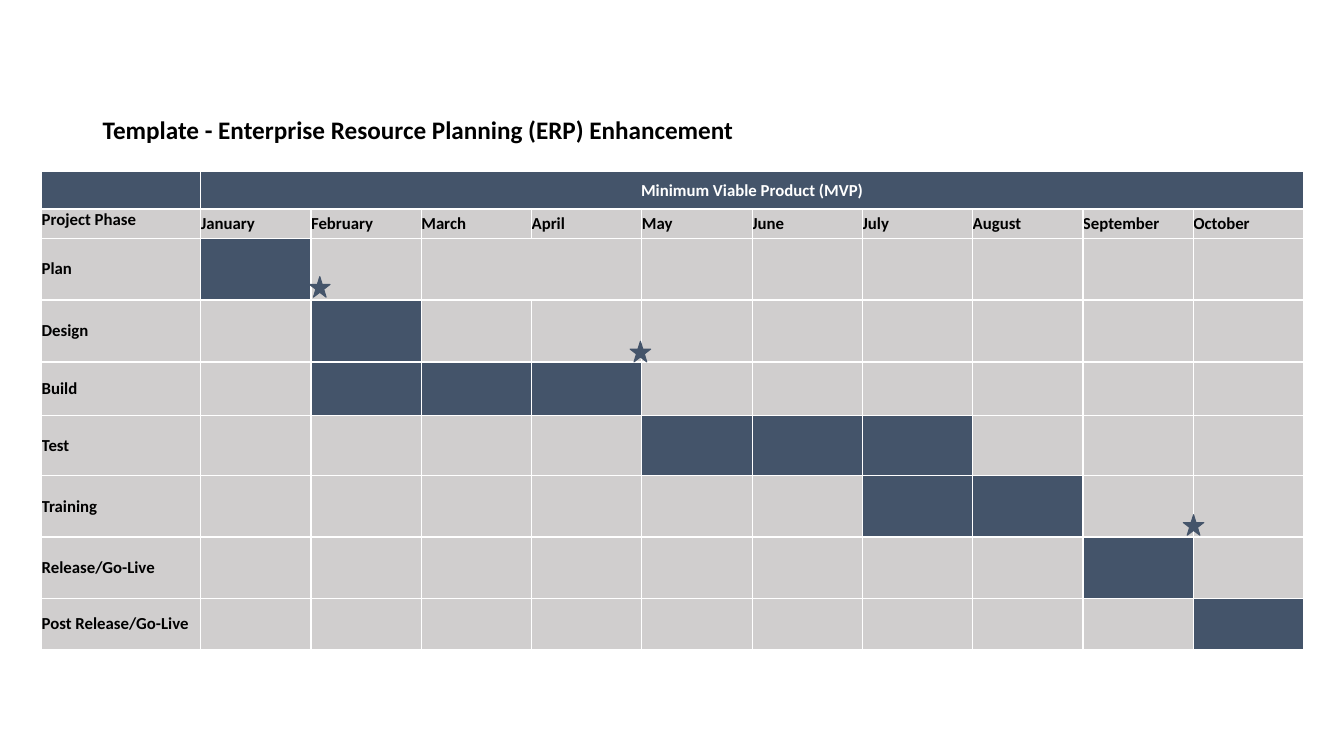
import pptx
import pptx.util
import pptx.dml.color
import pptx.enum.shapes
import pptx.enum.text
import pptx.oxml
import pptx.oxml.ns

Cm, Pt = pptx.util.Cm, pptx.util.Pt
ANCHOR = pptx.enum.text.MSO_ANCHOR
ALIGN = pptx.enum.text.PP_ALIGN

COLORS = {"slate": "44546A", "gray": "D0CECE", "white": "FFFFFF", "black": "000000"}
MONTHS = ["January", "February", "March", "April", "May", "June",
          "July", "August", "September", "October"]
# Phase name, row height in cm, first and last active month
PHASES = [
    ("Plan", 1.56, 1, 1),
    ("Design", 1.56, 2, 2),
    ("Build", 1.36, 2, 4),
    ("Test", 1.51, 5, 7),
    ("Training", 1.54, 7, 8),
    ("Release/Go-Live", 1.55, 9, 9),
    ("Post Release/Go-Live", 1.28, 10, 10),
]
HEADER_HEIGHTS = [0.95, 0.73]
MILESTONES = [(7.8, 6.97), (15.88, 8.6), (29.82, 12.97)]


class GanttSlide:
    def __init__(self, prs, font="Calibri"):
        self.s = prs.slides.add_slide(prs.slide_layouts[6])
        self.font = font

    def rgb(self, name):
        return pptx.dml.color.RGBColor.from_string(COLORS[name])

    def label(self, tf, text, size, color="black", align=ALIGN.LEFT):
        p = tf.paragraphs[0]
        p.alignment = align
        r = p.add_run()
        r.text = text
        for key, value in {"name": self.font, "size": Pt(size), "bold": True}.items():
            setattr(r.font, key, value)
        r.font.color.rgb = self.rgb(color)
        return p

    def title(self, text, left, top, width, height):
        sp = self.s.shapes.add_textbox(Cm(left), Cm(top), Cm(width), Cm(height))
        tf = sp.text_frame
        tf.word_wrap = True
        tf.vertical_anchor = ANCHOR.MIDDLE
        self.label(tf, text, 18).line_spacing = 0.9

    def table(self, left, top, widths, heights):
        frame = self.s.shapes.add_table(len(heights), len(widths), Cm(left), Cm(top),
                                        Cm(sum(widths)), Cm(sum(heights)))
        table = frame.table
        table.first_row = table.horz_banding = False
        for column, width in zip(table.columns, widths):
            column.width = Cm(width)
        for row, height in zip(table.rows, heights):
            row.height = Cm(height)
        return table

    def cell(self, cell, fill, borders, text="", color="black",
             align=ALIGN.LEFT, anchor=ANCHOR.MIDDLE):
        for side in ("left", "right", "top", "bottom"):
            setattr(cell, "margin_" + side, 0)
        cell.vertical_anchor = anchor
        # Borders come before the fill in the cell properties
        tcPr = cell._tc.get_or_add_tcPr()
        for side in "LRTB":
            width = borders.get(side, 1)
            paint = (f'<a:solidFill><a:srgbClr val="{COLORS["white"]}"/></a:solidFill>'
                     if width else "<a:noFill/>")
            tcPr.append(pptx.oxml.parse_xml(
                f'<a:ln{side} {pptx.oxml.ns.nsdecls("a")} w="{Pt(width)}">{paint}</a:ln{side}>'))
        cell.fill.solid()
        cell.fill.fore_color.rgb = self.rgb(fill)
        if text:
            self.label(cell.text_frame, text, 12, color, align)

    def star(self, left, top, size=0.52):
        sp = self.s.shapes.add_shape(pptx.enum.shapes.MSO_SHAPE.STAR_5_POINT,
                                     Cm(left), Cm(top), Cm(size), Cm(size))
        sp.shadow.inherit = False
        sp.fill.solid()
        sp.fill.fore_color.rgb = sp.line.color.rgb = self.rgb("slate")
        sp.line.width = Pt(0.75)


def main():
    prs = pptx.Presentation()
    prs.slide_width, prs.slide_height = Cm(33.87), Cm(19.05)
    gantt = GanttSlide(prs)
    gantt.title("Template - Enterprise Resource Planning (ERP) Enhancement",
                2.34, 2.92, 29.21, 0.79)

    # Schedule grid
    widths = [4.01] + [2.78] * len(MONTHS)
    table = gantt.table(1.05, 4.32, widths, HEADER_HEIGHTS + [phase[1] for phase in PHASES])

    # Header rows
    table.cell(0, 1).merge(table.cell(0, len(MONTHS)))
    for col, month in enumerate(["Project Phase"] + MONTHS):
        gantt.cell(table.cell(0, col), "slate", {"B": 1.5},
                   "Minimum Viable Product (MVP)" if col == 1 else "",
                   "white", ALIGN.CENTER)
        gantt.cell(table.cell(1, col), "gray", {"T": 1.5}, month,
                   anchor=ANCHOR.MIDDLE if col else ANCHOR.TOP)

    # Phase rows: heavier rules part the last three names, and
    # Plan has no rule between March and April
    special = {("Plan", 3): {"R": 0}, ("Plan", 4): {"L": 0},
               ("Training", 0): {"B": 1.5},
               ("Release/Go-Live", 0): {"T": 1.5, "B": 1.5},
               ("Post Release/Go-Live", 0): {"T": 1.5}}
    for row, (name, _, first, last) in enumerate(PHASES, len(HEADER_HEIGHTS)):
        for col in range(len(widths)):
            gantt.cell(table.cell(row, col), "slate" if first <= col <= last else "gray",
                       special.get((name, col), {}), "" if col else name)

    # Milestones
    for left, top in MILESTONES:
        gantt.star(left, top)

    prs.save("out.pptx")


if __name__ == "__main__":
    main()
